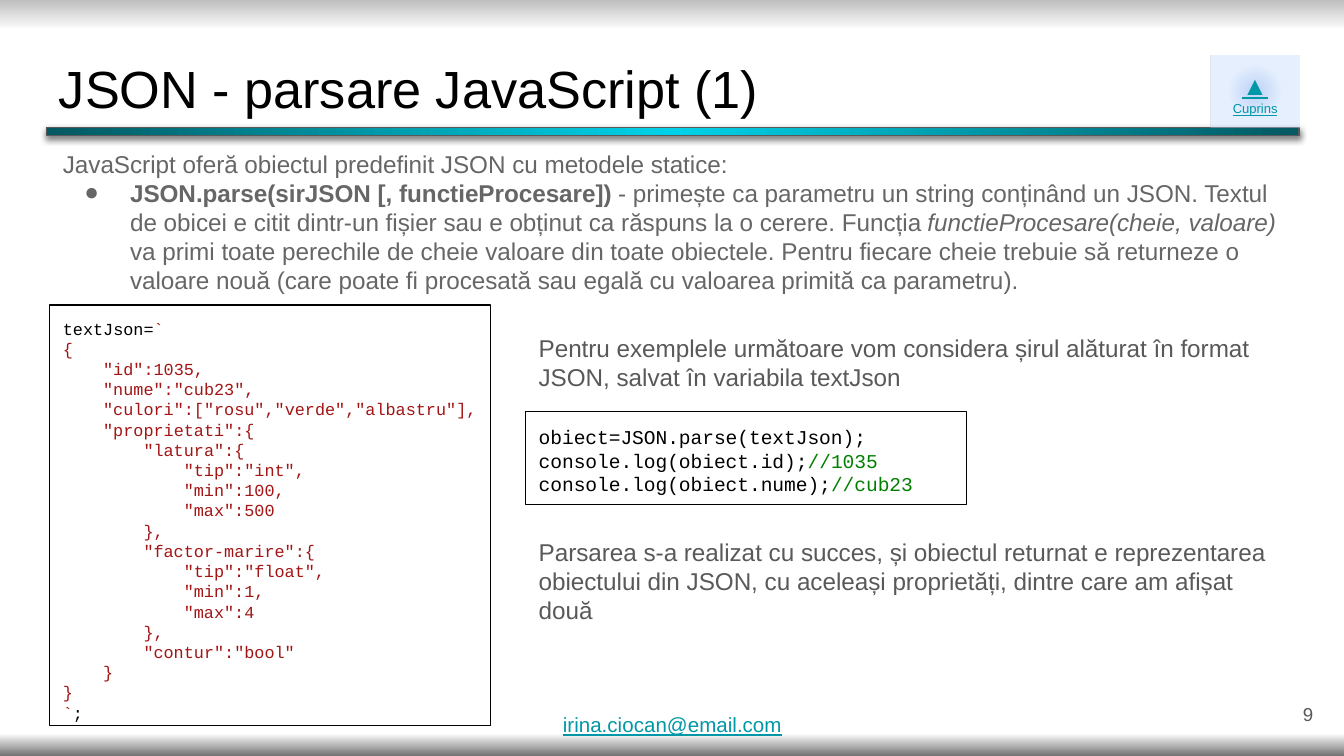
from dataclasses import dataclass

from lxml.etree import SubElement
from pptx import Presentation
from pptx.dml.color import RGBColor
from pptx.enum.shapes import MSO_SHAPE
from pptx.enum.text import MSO_ANCHOR, PP_ALIGN
from pptx.oxml.ns import qn
from pptx.util import Pt


@dataclass(frozen=True)
class Theme:
    sans: str = "Arial"
    mono: str = "Courier New"
    black: str = "000000"
    body: str = "666666"
    gray: str = "595959"
    link: str = "0097A7"
    literal: str = "A31515"
    comment: str = "008000"
    title_size: float = 28
    body_size: float = 13
    icon_size: float = 14
    email_size: float = 11
    code_size: float = 10.5
    number_size: float = 10
    json_size: float = 9
    badge_size: float = 7
    inset: float = 7.1
    edge: tuple = ((0, "BFBFBF", 100), (4, "FFFFFF", 100), (97, "FFFFFF", 100), (100, "737373", 100))
    bar: tuple = ((0, "00D2E9", 100), (100, "045962", 100))
    glow: tuple = ((0, "4A86E8", 37), (48, "BCD6FF", 37), (100, "BCD6FF", 37))


def add_node(parent, tag, **attributes):
    return SubElement(parent, qn(tag), {name: str(value) for name, value in attributes.items()})


class SlideWriter:
    """Draws styled elements on the current slide."""

    def __init__(self, page, theme):
        self.page = page
        self.theme = theme

    def gradient(self, fill, element, stops, radial=True):
        fill.gradient()
        node = element.find(".//" + qn("a:gradFill"))
        for child in list(node):
            node.remove(child)
        stop_list = add_node(node, "a:gsLst")
        for position, color, opacity in stops:
            stop = add_node(stop_list, "a:gs", pos=position * 1000)
            tone = add_node(stop, "a:srgbClr", val=color)
            if opacity < 100:
                add_node(tone, "a:alpha", val=opacity * 1000)
        if radial:
            route = add_node(node, "a:path", path="circle")
            add_node(route, "a:fillToRect", l=50000, t=50000, r=50000, b=50000)
        else:
            add_node(node, "a:lin", ang=5400000, scaled=0)

    def background(self):
        self.gradient(self.page.background.fill, self.page._element, self.theme.edge, radial=False)

    def rectangle(self, frame, stops=None, outline=None):
        box = self.page.shapes.add_shape(MSO_SHAPE.RECTANGLE, *map(Pt, frame))
        box.shadow.inherit = False
        if stops:
            self.gradient(box.fill, box._element, stops)
        else:
            box.fill.background()
        if outline:
            box.line.color.rgb = RGBColor.from_string(outline)
            box.line.width = Pt(0.75)
        else:
            box.line.fill.background()
        return box

    def rule(self, frame):
        box = self.rectangle(frame, self.theme.bar, self.theme.gray)
        effects = box._element.spPr.find(qn("a:effectLst"))
        shadow = add_node(effects, "a:outerShdw", blurRad=Pt(3.4), dist=Pt(1.5), dir=5400000)
        add_node(add_node(shadow, "a:srgbClr", val=self.theme.black), "a:alpha", val=50000)

    def textbox(self, frame):
        return self.page.shapes.add_textbox(*map(Pt, frame))

    def prepare(self, box, anchor=MSO_ANCHOR.TOP, vertical_inset=None):
        text = box.text_frame
        text.word_wrap = True
        text.vertical_anchor = anchor
        text.margin_left = text.margin_right = Pt(self.theme.inset)
        vertical = self.theme.inset if vertical_inset is None else vertical_inset
        text.margin_top = text.margin_bottom = Pt(vertical)
        return text

    def paragraph(self, text, index, align=PP_ALIGN.LEFT):
        para = text.add_paragraph() if index else text.paragraphs[0]
        para.alignment = align
        para.line_spacing = 1.0
        return para

    def span(self, para, words, size, color, font=None, bold=False, italic=False, underline=False):
        run = para.add_run()
        run.text = words
        run.font.name = font or self.theme.sans
        run.font.size = Pt(size)
        run.font.color.rgb = RGBColor.from_string(color)
        run.font.bold, run.font.italic, run.font.underline = bold, italic, underline

    def label(self, frame, words, size, color, align=PP_ALIGN.LEFT, anchor=MSO_ANCHOR.TOP,
              vertical_inset=None, underline=False):
        text = self.prepare(self.textbox(frame), anchor, vertical_inset)
        self.span(self.paragraph(text, 0, align), words, size, color, underline=underline)

    def badge(self, frame, lines):
        text = self.prepare(self.rectangle(frame, self.theme.glow))
        for index, (words, size) in enumerate(lines):
            para = self.paragraph(text, index, PP_ALIGN.CENTER)
            self.span(para, words, size, self.theme.link, underline=True)

    def bullet_text(self, frame, lead, spans):
        text = self.prepare(self.textbox(frame))
        size, color = self.theme.body_size, self.theme.body
        self.span(self.paragraph(text, 0), lead, size, color)
        para = self.paragraph(text, 1)
        properties = para._p.get_or_add_pPr()
        properties.set("marL", str(Pt(36)))
        properties.set("indent", str(Pt(-24.5)))
        add_node(properties, "a:buFont", typeface=self.theme.sans)
        add_node(properties, "a:buChar", char="●")
        for words, style in spans:
            self.span(para, words, size, color, **style)

    def code(self, frame, size, lines):
        text = self.prepare(self.rectangle(frame, outline=self.theme.black))
        level_width = 4 * 0.6 * size
        for index, (level, spans) in enumerate(lines):
            para = self.paragraph(text, index)
            para._p.get_or_add_pPr().set("marL", str(Pt(level * level_width)))
            for words, color in spans:
                self.span(para, words, size, color, self.theme.mono)


JSON_BODY = (
    (0, '{'),
    (1, '"id":1035,'),
    (1, '"nume":"cub23",'),
    (1, '"culori":["rosu","verde","albastru"],'),
    (1, '"proprietati":{'),
    (2, '"latura":{'),
    (3, '"tip":"int",'),
    (3, '"min":100,'),
    (3, '"max":500'),
    (2, '},'),
    (2, '"factor-marire":{'),
    (3, '"tip":"float",'),
    (3, '"min":1,'),
    (3, '"max":4'),
    (2, '},'),
    (2, '"contur":"bool"'),
    (1, '}'),
    (0, '}'),
)


def main():
    deck = Presentation()
    deck.slide_width, deck.slide_height = Pt(720), Pt(405)
    theme = Theme()
    writer = SlideWriter(deck.slides.add_slide(deck.slide_layouts[6]), theme)
    left, right, code_width, note_width = 26.6, 281.5, 236.2, 414.7

    writer.background()
    writer.label((24.5, 23, 671, 45.4), "JSON - parsare JavaScript (1)",
                 theme.title_size, theme.black)
    writer.rule((25, 68.2, 671, 4.3))
    writer.label((667.4, 367.2, 43.2, 31), "9", theme.number_size, theme.gray,
                 PP_ALIGN.RIGHT, MSO_ANCHOR.MIDDLE)
    writer.badge((648.8, 29.9, 47.2, 38.3),
                 (("▲", theme.icon_size), ("Cuprins", theme.badge_size)))
    writer.label((294.5, 381.6, 132.5, 19.4), "irina.ciocan@email.com", theme.email_size,
                 theme.link, vertical_inset=0, underline=True)
    writer.bullet_text(
        (left, 72.7, 669, 96.5),
        "JavaScript oferă obiectul predefinit JSON cu metodele statice:",
        (("JSON.parse(sirJSON [, functieProcesare])", {"bold": True}),
         (" - primește ca parametru un string conținând un JSON. Textul de obicei e citit dintr-un "
          "fișier sau e obținut ca răspuns la o cerere. Funcția ", {}),
         ("functieProcesare(cheie, valoare)", {"italic": True}),
         (" va primi toate perechile de cheie valoare din toate obiectele. Pentru fiecare cheie "
          "trebuie să returneze o valoare nouă (care poate fi procesată sau egală cu valoarea "
          "primită ca parametru).", {})))

    black, literal, comment = theme.black, theme.literal, theme.comment
    json_lines = [(0, (("textJson=", black), ("`", literal)))]
    json_lines += [(level, ((words, literal),)) for level, words in JSON_BODY]
    json_lines.append((0, (("`", literal), (";", black))))
    writer.code((left, 163.4, code_width, 225.2), theme.json_size, json_lines)

    writer.code((right, 220.6, code_width, 49.6), theme.code_size, (
        (0, (("obiect=JSON.parse(textJson);", black),)),
        (0, (("console.log(obiect.id);", black), ("//1035", comment))),
        (0, (("console.log(obiect.nume);", black), ("//cub23", comment)))))

    notes = (
        (171.4, 46, "Pentru exemplele următoare vom considera șirul alăturat în format JSON, "
                    "salvat în variabila textJson"),
        (280.8, 62, "Parsarea s-a realizat cu succes, și obiectul returnat e reprezentarea "
                    "obiectului din JSON, cu aceleași proprietăți, dintre care am afișat două"))
    for top, height, words in notes:
        writer.label((right, top, note_width, height), words, theme.body_size, theme.gray)

    deck.save("out.pptx")


if __name__ == "__main__":
    main()
